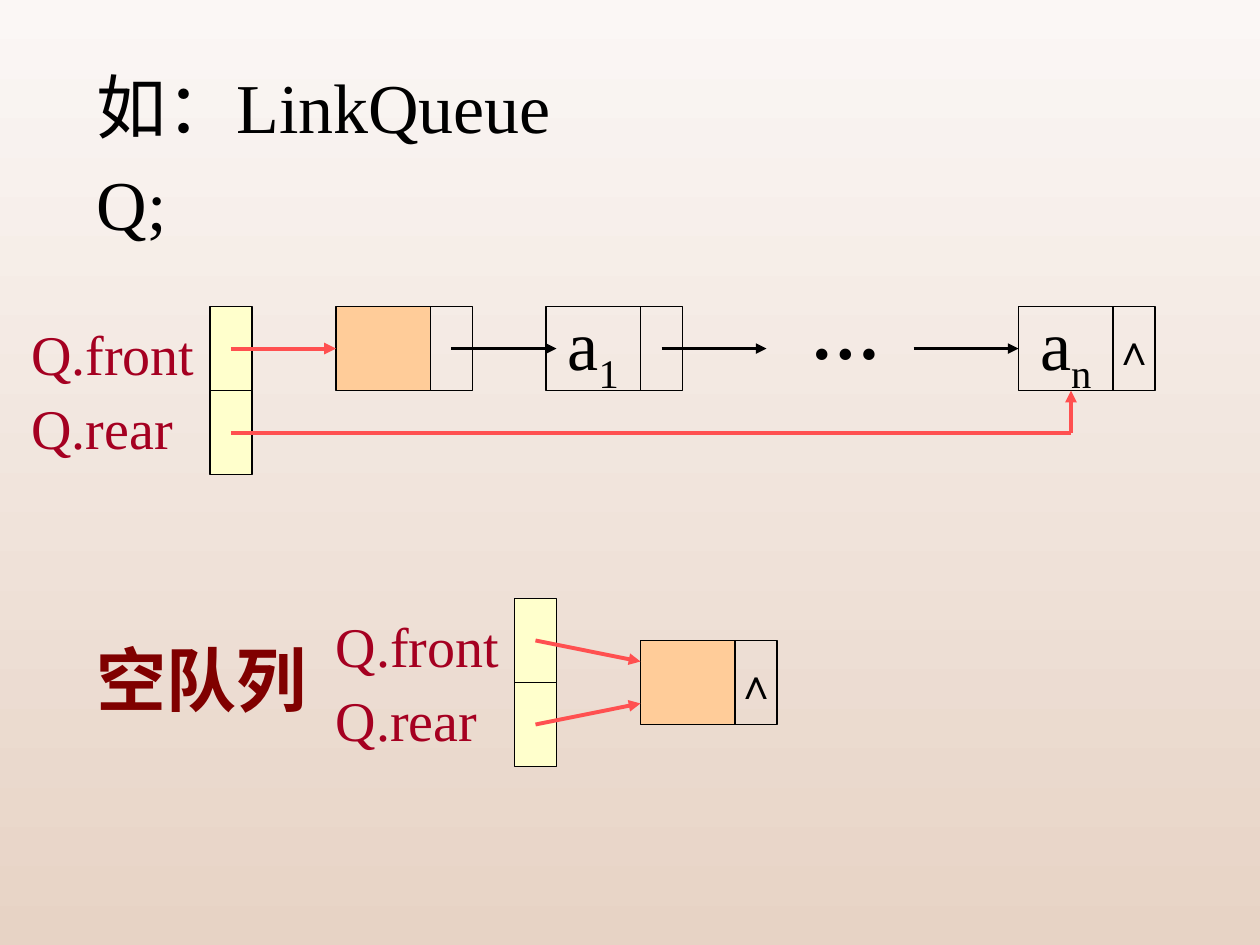
from lxml import etree
from pptx import Presentation
from pptx.dml.color import RGBColor
from pptx.enum.shapes import MSO_CONNECTOR, MSO_SHAPE
from pptx.enum.text import MSO_ANCHOR, MSO_AUTO_SIZE, PP_ALIGN
from pptx.oxml.ns import qn
from pptx.util import Pt

RECT = MSO_SHAPE.RECTANGLE
STRAIGHT = MSO_CONNECTOR.STRAIGHT
TOP, MIDDLE = MSO_ANCHOR.TOP, MSO_ANCHOR.MIDDLE
LEFT, CENTER = PP_ALIGN.LEFT, PP_ALIGN.CENTER
GROW = MSO_AUTO_SIZE.SHAPE_TO_FIT_TEXT

BLACK = RGBColor(0x00, 0x00, 0x00)
RED = RGBColor(0xFF, 0x50, 0x50)
CRIMSON = RGBColor(0xA5, 0x00, 0x21)
MAROON = RGBColor(0x80, 0x00, 0x00)
YELLOW = RGBColor(0xFF, 0xFF, 0xCC)
ORANGE = RGBColor(0xFF, 0xCC, 0x99)
BG_TOP = RGBColor(0xFB, 0xF7, 0xF5)
BG_BOTTOM = RGBColor(0xE7, 0xD3, 0xC5)

PX = 7620
FONT = "Times New Roman"
DATA_W, LINK_W, CELL_H = 90, 40, 80


class QueueSlide:
    def __init__(self, prs):
        self.slide = prs.slides.add_slide(prs.slide_layouts[5])

    def background(self, *colors):
        fill = self.slide.background.fill
        fill.gradient()
        fill.gradient_angle = 270
        for stop, color, position in zip(fill.gradient_stops, colors, (0, 1)):
            stop.color.rgb = color
            stop.position = position

    def style(self, font, size, color, bold=False):
        values = {"name": FONT, "size": Pt(size), "bold": bold}
        for name, value in values.items():
            setattr(font, name, value)
        font.color.rgb = color

    def fill_text(self, tf, lines, size, color, bold=False, spacing=1.0, wrap=True):
        values = {"word_wrap": wrap, "auto_size": GROW, "vertical_anchor": TOP}
        for name, value in values.items():
            setattr(tf, name, value)
        tf.text = "\n".join(lines)
        for p in tf.paragraphs:
            p.alignment = LEFT
            p.line_spacing = spacing
            for r in p.runs:
                self.style(r.font, size, color, bold)

    def title(self, x, y, w, h, text, **fmt):
        sp = self.slide.shapes.title
        box = {"left": x, "top": y, "width": w, "height": h}
        for name, value in box.items():
            setattr(sp, name, value * PX)
        self.fill_text(sp.text_frame, [text], **fmt)

    def text(self, x, y, w, h, *lines, **fmt):
        sp = self.slide.shapes.add_textbox(x * PX, y * PX, w * PX, h * PX)
        self.fill_text(sp.text_frame, lines, **fmt)

    def cell(self, x, y, w, fill=None, text="", sub="", size=40):
        sp = self.slide.shapes.add_shape(RECT, x * PX, y * PX, w * PX, CELL_H * PX)
        sp.shadow.inherit = False
        if fill is None:
            sp.fill.background()
        else:
            sp.fill.solid()
            sp.fill.fore_color.rgb = fill
        sp.line.color.rgb = BLACK
        sp.line.width = Pt(0.75)
        if text:
            tf = sp.text_frame
            tf.word_wrap = False
            tf.vertical_anchor = MIDDLE
            p = tf.paragraphs[0]
            p.alignment = CENTER
            for part, base in ((text, 0), (sub, -25000)):
                if part:
                    r = p.add_run()
                    r.text = part
                    self.style(r.font, size, BLACK)
                    if base:
                        r._r.get_or_add_rPr().set("baseline", str(base))
        return sp

    def node(self, x, y, fill=None, text="", sub="", link=""):
        self.cell(x + DATA_W, y, LINK_W, text=link, size=24)
        return self.cell(x, y, DATA_W, fill, text, sub)

    def head(self, x, y):
        for row in range(2):
            self.cell(x, y + row * CELL_H, LINK_W, YELLOW)

    def labels(self, x, y):
        self.text(x, y, 180, 152, "Q.front", "Q.rear",
                  size=32, color=CRIMSON, spacing=1.1, wrap=False)

    def line(self, x1, y1, x2, y2, color=RED, width=2.25, arrow=True, target=None):
        cxn = self.slide.shapes.add_connector(
            STRAIGHT, x1 * PX, y1 * PX, x2 * PX, y2 * PX)
        cxn.line.color.rgb = color
        cxn.line.width = Pt(width)
        if arrow:
            tail = etree.SubElement(cxn.line._get_or_add_ln(), qn("a:tailEnd"))
            tail.set("type", "triangle")
        etree.SubElement(cxn._element.spPr, qn("a:effectLst"))
        if target is not None:
            cxn.end_connect(target, 1)


def main():
    prs = Presentation()
    prs.slide_width, prs.slide_height = 1200 * PX, 900 * PX
    s = QueueSlide(prs)
    s.background(BG_TOP, BG_BOTTOM)
    s.title(80, 43, 574, 104, "如：LinkQueue\vQ;", size=40, color=BLACK, spacing=1.15)

    y = 292
    mid = y + CELL_H // 2
    s.head(200, y)
    header = s.node(320, y, ORANGE)
    s.node(520, y, text="a", sub="1")
    last = s.node(970, y, text="a", sub="n", link="∧")
    s.line(220, mid, 320, mid, target=header)
    for x, target in ((430, None), (630, None), (870, last)):
        s.line(x, mid, x + 100, mid, BLACK, 2, target=target)
    s.text(760, 270, 110, 92, "…", size=40, color=BLACK, bold=True)
    s.line(220, mid + CELL_H, 1020, mid + CELL_H, arrow=False)
    s.line(1020, mid + CELL_H, 1020, y + CELL_H)
    s.labels(18, y)

    y = 570
    s.head(490, y)
    s.node(610, y + 40, ORANGE, link="∧")
    s.labels(308, y)
    for start, end in ((40, 60), (120, 100)):
        s.line(510, y + start, 610, y + end)
    s.text(80, 600, 238, 92, "空队列", size=40, color=MAROON, bold=True)

    prs.save("out.pptx")


if __name__ == "__main__":
    main()
